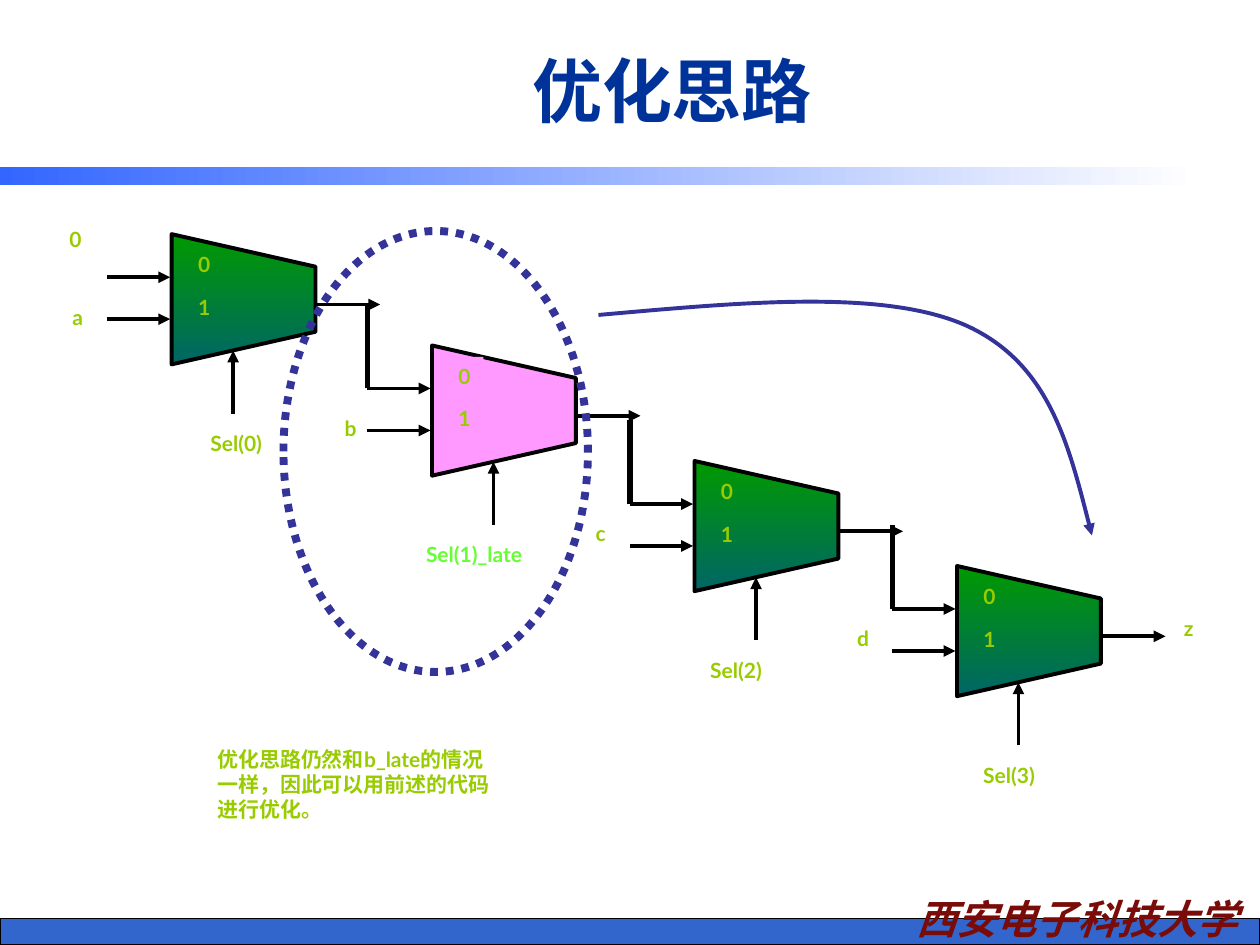
from lxml import etree
from pptx import Presentation
from pptx import util as u
from pptx.dml.color import RGBColor
from pptx.enum import dml, shapes, text
from pptx.oxml import ns

WHITE = RGBColor(0xFF, 0xFF, 0xFF)
BLACK = RGBColor(0, 0, 0)
BAR = RGBColor(0x33, 0x66, 0xCC)
SKY = RGBColor(0x33, 0x66, 0xFF)
NAVY = RGBColor(0x00, 0x33, 0x99)
MAROON = RGBColor(0x79, 0x0C, 0x09)
GREEN = RGBColor(0x00, 0x99, 0x00)
TEAL = RGBColor(0x00, 0x66, 0x66)
PINK = RGBColor(0xFF, 0x99, 0xFF)
LIME = RGBColor(0x99, 0xCC, 0x00)
NEON = RGBColor(0x66, 0xFF, 0x33)
INDIGO = RGBColor(0x33, 0x33, 0x99)

WIDTH, HEIGHT = u.Inches(10), u.Inches(7.5)
COLS = 120
UNIT = WIDTH / COLS
ROWS = HEIGHT / UNIT


def grid(*nums):
    return [u.Emu(round(n * UNIT)) for n in nums]


def blend(fill, first, last, angle):
    fill.gradient()
    fill.gradient_angle = angle
    for stop, color in zip(fill.gradient_stops, (first, last)):
        stop.color.rgb = color


def stroke(line, color, size):
    line.color.rgb = color
    line.width = u.Pt(size)


def arrow(shape):
    line = shape.line._get_or_add_ln()
    etree.SubElement(line, ns.qn("a:tailEnd"), type="triangle")


def wire(pool, start, end, size=2.25, head=True):
    line = pool.add_connector(shapes.MSO_CONNECTOR.STRAIGHT, *grid(*start, *end))
    stroke(line.line, BLACK, size)
    if head:
        arrow(line)
    etree.SubElement(line.element.spPr, ns.qn("a:effectLst"))
    return line


def label(pool, box, words, color=LIME, size=12, font="Lato", wrap=False,
          align=text.PP_ALIGN.CENTER, italic=False):
    item = pool.add_textbox(*grid(*box))
    frame = item.text_frame
    frame.word_wrap = wrap
    frame.text = words
    for para in frame.paragraphs:
        para.alignment = align
        face = para.font
        face.name, face.size, face.bold = font, u.Pt(size), True
        face.italic = italic
        face.color.rgb = color
    return item


def outline(pool, points, close):
    first, *rest = [grid(*p) for p in points]
    form = pool.build_freeform(*first, scale=1.0)
    form.add_line_segments(rest, close=close)
    shape = form.convert_to_shape()
    shape.shadow.inherit = False
    return shape


def header(pool, box):
    left, top, wide, high = box
    band = pool.add_shape(shapes.MSO_SHAPE.RECTANGLE,
                          *grid(left, top + high - 1.7, wide * 0.95, 1.7))
    band.shadow.inherit = False
    blend(band.fill, SKY, WHITE, 0)
    band.line.fill.background()
    title = label(pool, (left + 16, top + 2, wide * 0.8, 13), "优化思路",
                  NAVY, 40, "Arial", True)
    title.text_frame.vertical_anchor = text.MSO_ANCHOR.MIDDLE


def footer(pool, box):
    left, top, wide, high = box
    band = pool.add_shape(shapes.MSO_SHAPE.RECTANGLE, *grid(*box))
    band.shadow.inherit = False
    band.fill.solid()
    band.fill.fore_color.rgb = BAR
    stroke(band.line, BLACK, 0.75)
    label(pool, (left + wide * 0.7 - 0.3, top - 2.9, 37.8, 5.9),
          "西安电子科技大学", MAROON, 23, "Noto Sans CJK SC", True, italic=True)


def mux(pool, left, top, late):
    group = pool.add_group_shape().shapes
    corners = [(6.15, 8.3), (19.85, 5.2), (19.85, -1), (6.15, -4.1)]
    body = outline(group, [(left + x, top + y) for x, y in corners], True)
    stroke(body.line, BLACK, 2.25)
    if late:
        body.fill.solid()
        body.fill.fore_color.rgb = PINK
    else:
        blend(body.fill, GREEN, TEAL, 270)
    for digit, drop in (("1", 1.05), ("0", -3)):
        tag = label(group, (left + 7.45, top + drop, 3.6, 3.6), digit)
        if late:
            tag.fill.solid()
            tag.fill.fore_color.rgb = PINK
    for start, end in (((0, 0), (6, 0)), ((0, 4), (6, 4)),
                       ((12, 13), (12, 7)), ((20, 2.6), (26, 2.6))):
        wire(group, (left + start[0], top + start[1]),
             (left + end[0], top + end[1]))


def chain(pool, box):
    left, top, wide, high = box
    steps = [(0, 0), (24.8, 10.6), (49.8, 21.6), (74.8, 31.6)]
    for count, (x, y) in enumerate(steps):
        mux(pool, left + x, top + y, count == 1)
    for x, y in steps[1:]:
        wire(pool, (left + x, top + y), (left + x, top + y - 8), 3, False)
    tags = [("0", -4.8, -5.4, 3.6), ("a", -4.6, 2, 3.6), ("b", 21.4, 12.6, 3.6),
            ("c", 44.8, 22.6, 4.4), ("d", 69.8, 32.6, 4.4), ("z", 100.8, 31.6, 4.4),
            ("Sel(0)", 8.4, 14, 7.8), ("Sel(1)_late", 28.7, 24.6, 12.5),
            ("Sel(2)", 56, 35.6, 7.8), ("Sel(3)", 82, 45.6, 7.8)]
    for words, x, y, span in tags:
        label(pool, (left + x, top + y, span, 3.6), words,
              NEON if "late" in words else LIME)


def focus(pool, box):
    left, top, wide, high = box
    ring = pool.add_shape(shapes.MSO_SHAPE.OVAL, *grid(left, top, 29, high))
    ring.shadow.inherit = False
    ring.fill.background()
    stroke(ring.line, INDIGO, 4.5)
    ring.line.dash_style = dml.MSO_LINE.ROUND_DOT
    points = [(30, 8), (43.55, 6.8), (57.1, 5.5), (65, 9),
              (72.85, 12.55), (74.9, 20.75), (77, 29)]
    curve = outline(pool, [(left + x, top + y) for x, y in points], False)
    curve.fill.background()
    stroke(curve.line, INDIGO, 2.25)
    arrow(curve)
    lines = list(curve.element.iter(ns.qn("a:lnTo")))
    for at in range(0, len(lines), 3):
        bend = etree.Element(ns.qn("a:cubicBezTo"))
        lines[at].addprevious(bend)
        for line in lines[at:at + 3]:
            bend.append(line[0])
            line.getparent().remove(line)


def note(pool, box):
    label(pool, box, "优化思路仍然和b_late的情况\n一样，因此可以用前述的代码\n进行优化。",
          align=text.PP_ALIGN.LEFT)


def main():
    deck = Presentation()
    deck.slide_width, deck.slide_height = WIDTH, HEIGHT
    pool = deck.slides.add_slide(deck.slide_layouts[6]).shapes
    footer(pool, (0, ROWS - 2.5, COLS, 2.5))
    header(pool, (0, 0, COLS, 17.6))
    chain(pool, (10.2, 26.4, 101, 50))
    focus(pool, (27, 22, 77, 42))
    note(pool, (19.5, 70.5, 29.3, 8.4))
    deck.save("out.pptx")


if __name__ == "__main__":
    main()
